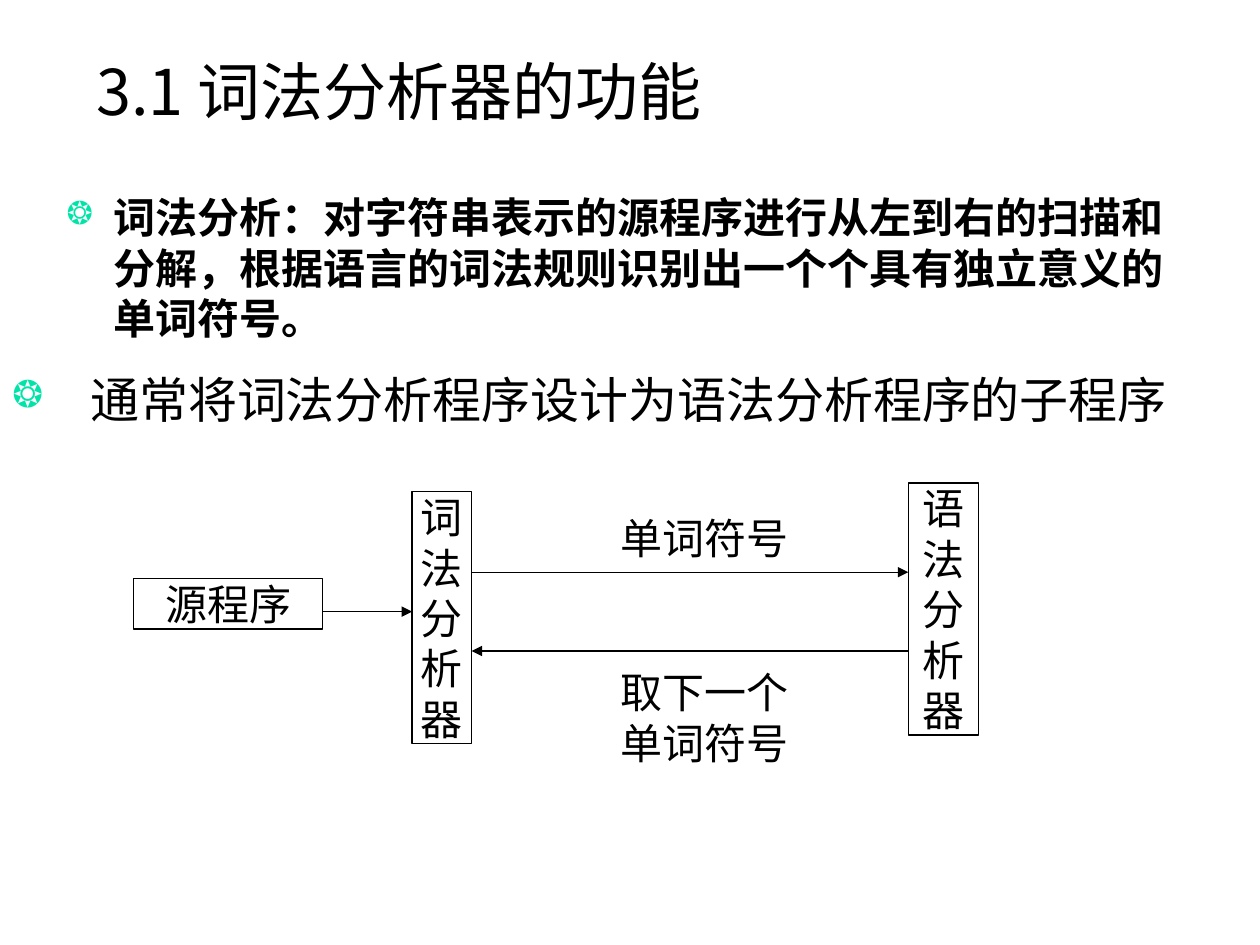
from lxml import etree
from pptx import Presentation
from pptx.dml.color import RGBColor
from pptx.enum.shapes import MSO_CONNECTOR, MSO_SHAPE
from pptx.enum.text import MSO_ANCHOR, PP_ALIGN
from pptx.oxml.ns import qn
from pptx.util import Pt

RECTANGLE = MSO_SHAPE.RECTANGLE
STRAIGHT = MSO_CONNECTOR.STRAIGHT
TOP, MIDDLE = MSO_ANCHOR.TOP, MSO_ANCHOR.MIDDLE
LEFT, CENTER = PP_ALIGN.LEFT, PP_ALIGN.CENTER

BLACK, WHITE, GREEN = "000000", "FFFFFF", "00E4A8"
CJK_FONT, LABEL_FONT = "Noto Sans CJK SC", "Times New Roman"
LINE_WIDTH = 0.75


def color(hex_value):
    return RGBColor.from_string(hex_value)


def write_text(frame, text, size, font_name, align, bold=False):
    paragraph = frame.paragraphs[0]
    paragraph.alignment = align
    run = paragraph.add_run()
    run.text = text
    run.font.size = Pt(size)
    run.font.name = font_name
    run.font.bold = bold
    run.font.color.rgb = color(BLACK)
    east_asian = etree.SubElement(run.font._element, qn("a:ea"))
    east_asian.set("typeface", CJK_FONT)
    return paragraph


def set_frame(frame, anchor, side=0, end=0):
    frame.word_wrap = True
    frame.vertical_anchor = anchor
    frame.margin_left = frame.margin_right = Pt(side)
    frame.margin_top = frame.margin_bottom = Pt(end)


def add_panel(slide, box, text, size, font_name, anchor=TOP, bold=False):
    """White borderless block of heading or body text."""
    panel = slide.shapes.add_shape(RECTANGLE, *map(Pt, box))
    panel.shadow.inherit = False
    panel.fill.solid()
    panel.fill.fore_color.rgb = color(WHITE)
    panel.line.fill.background()
    set_frame(panel.text_frame, anchor, 7.2, 3.6)
    return write_text(panel.text_frame, text, size, font_name, LEFT, bold)


def add_bullet(paragraph, indent):
    properties = paragraph._p.get_or_add_pPr()
    properties.set("marL", str(Pt(indent)))
    properties.set("indent", str(-Pt(indent)))
    bullet_color = etree.SubElement(properties, qn("a:buClr"))
    etree.SubElement(bullet_color, qn("a:srgbClr")).set("val", GREEN)
    etree.SubElement(properties, qn("a:buSzPct")).set("val", "75000")
    etree.SubElement(properties, qn("a:buChar")).set("char", "❂")


def add_node(slide, box, text):
    node = slide.shapes.add_shape(RECTANGLE, *map(Pt, box))
    node.shadow.inherit = False
    node.fill.background()
    node.line.color.rgb = color(BLACK)
    node.line.width = Pt(LINE_WIDTH)
    set_frame(node.text_frame, MIDDLE)
    write_text(node.text_frame, text, 24, LABEL_FONT, CENTER)


def add_label(slide, box, text):
    label = slide.shapes.add_textbox(*map(Pt, box))
    set_frame(label.text_frame, MIDDLE)
    write_text(label.text_frame, text, 24, LABEL_FONT, CENTER)


def add_arrow(slide, start_x, end_x, y):
    arrow = slide.shapes.add_connector(STRAIGHT, Pt(start_x), Pt(y), Pt(end_x), Pt(y))
    arrow.line.color.rgb = color(BLACK)
    arrow.line.width = Pt(LINE_WIDTH)
    etree.SubElement(arrow.line._get_or_add_ln(), qn("a:tailEnd")).set("type", "triangle")
    etree.SubElement(arrow._element.spPr, qn("a:effectLst"))


def main():
    prs = Presentation()
    prs.slide_width, prs.slide_height = Pt(720), Pt(540)
    slide = prs.slides.add_slide(prs.slide_layouts[6])

    # Definition, heading and design note
    definition = add_panel(
        slide, (31, 106, 646.5, 90.5),
        "词法分析：对字符串表示的源程序进行从左到右的扫描和分解，"
        "根据语言的词法规则识别出一个个具有独立意义的单词符号。",
        24, CJK_FONT, bold=True)
    add_bullet(definition, 27)
    add_panel(slide, (48, 26, 672, 51), "3.1 词法分析器的功能", 36, CJK_FONT, MIDDLE)
    design_note = add_panel(slide, (0, 207.5, 720, 57),
                            "通常将词法分析程序设计为语法分析程序的子程序", 28, "Arial Narrow")
    add_bullet(design_note, 44.5)

    # Program, lexer and parser
    source_left, source_width = 76.5, 108
    lexer_left, lexer_width = 235.5, 34
    parser_left, parser_width = 519, 40
    source_right = source_left + source_width
    lexer_right = lexer_left + lexer_width
    add_node(slide, (source_left, 330.5, source_width, 29), "源程序")
    add_node(slide, (lexer_left, 281, lexer_width, 144), "词法分析器")
    add_node(slide, (parser_left, 276, parser_width, 144), "语法分析器")

    # Exchange between lexer and parser
    add_label(slide, (348.5, 293, 108, 29), "单词符号")
    add_label(slide, (348.5, 381, 108, 57.5), "取下一个单词符号")
    add_arrow(slide, source_right, lexer_left, 349.5)
    add_arrow(slide, lexer_right, parser_left, 327)
    add_arrow(slide, parser_left, lexer_right, 372)

    prs.save("out.pptx")


if __name__ == "__main__":
    main()
